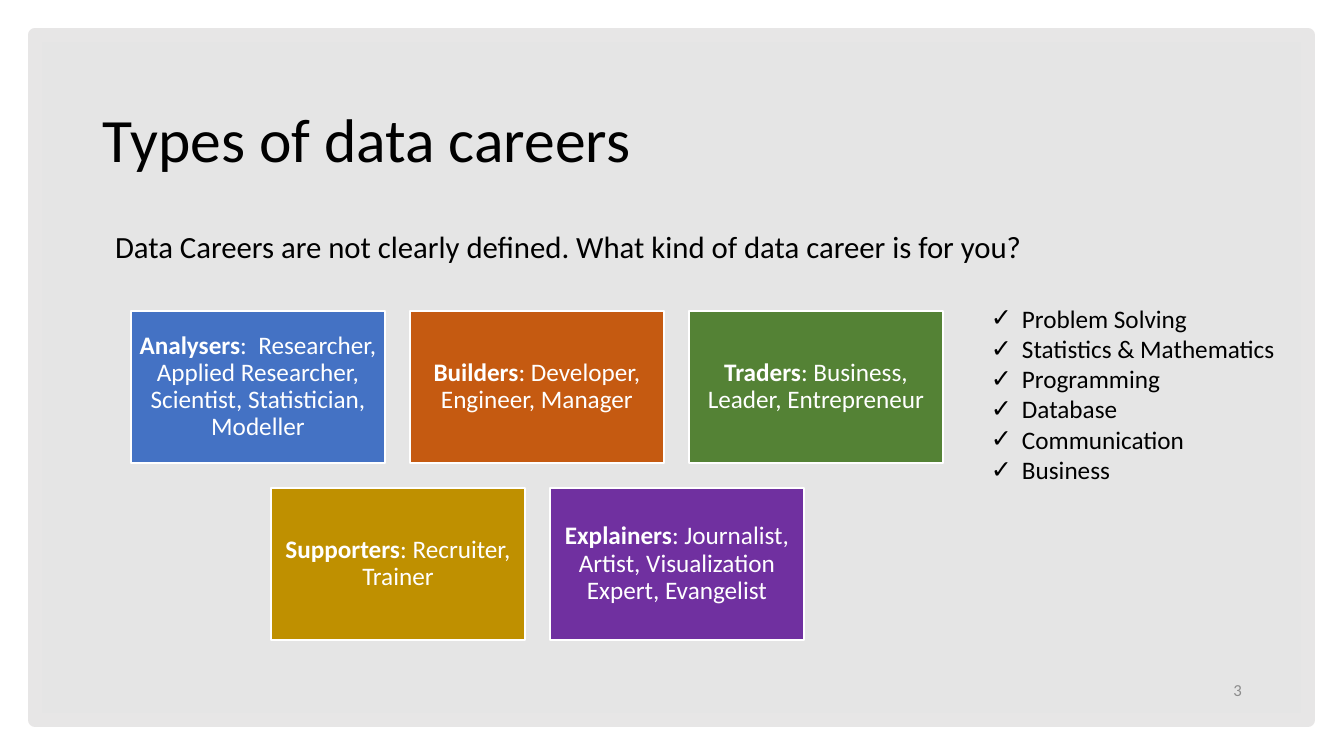
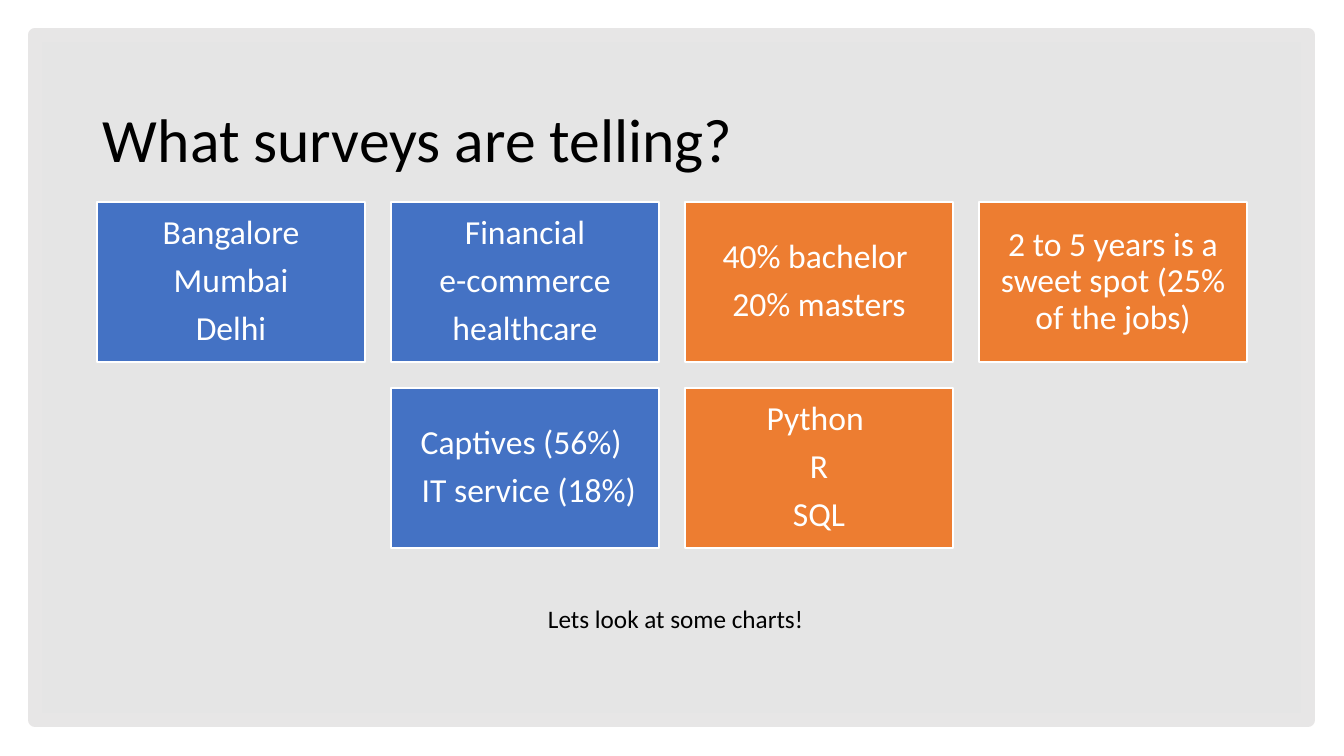
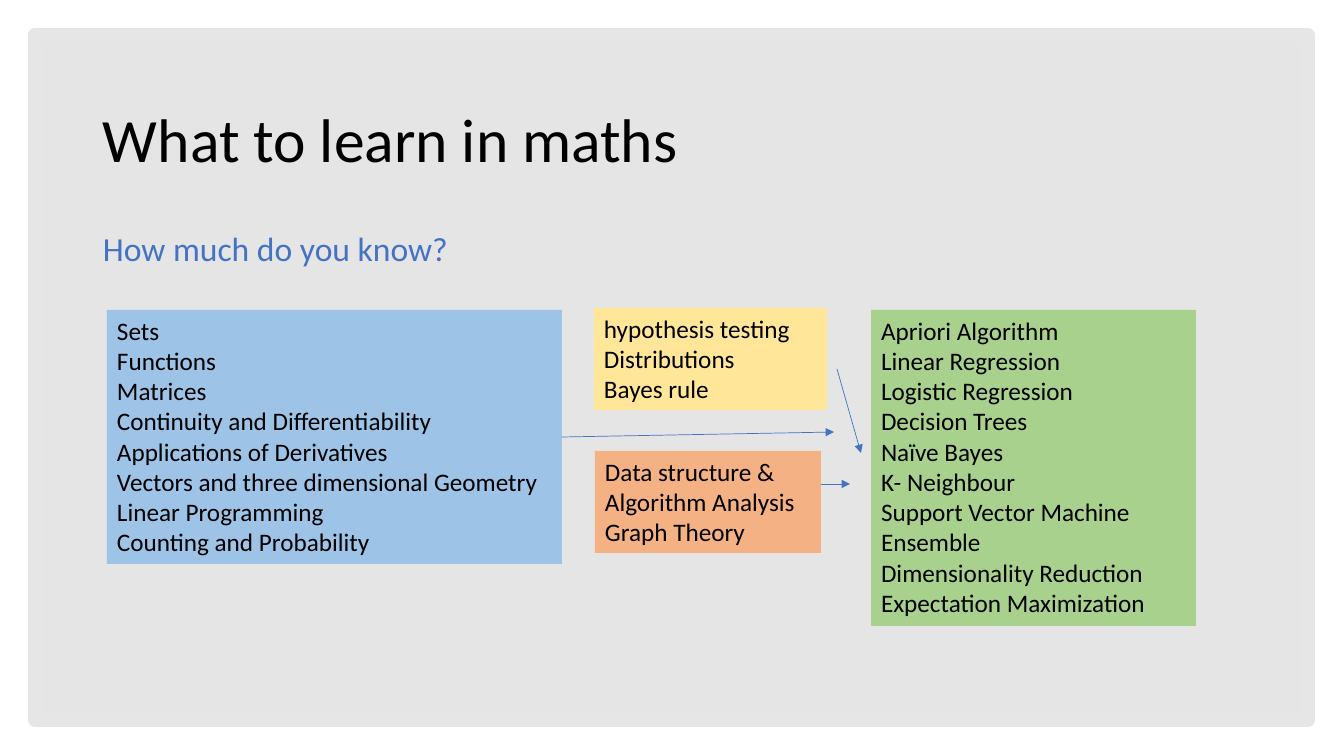
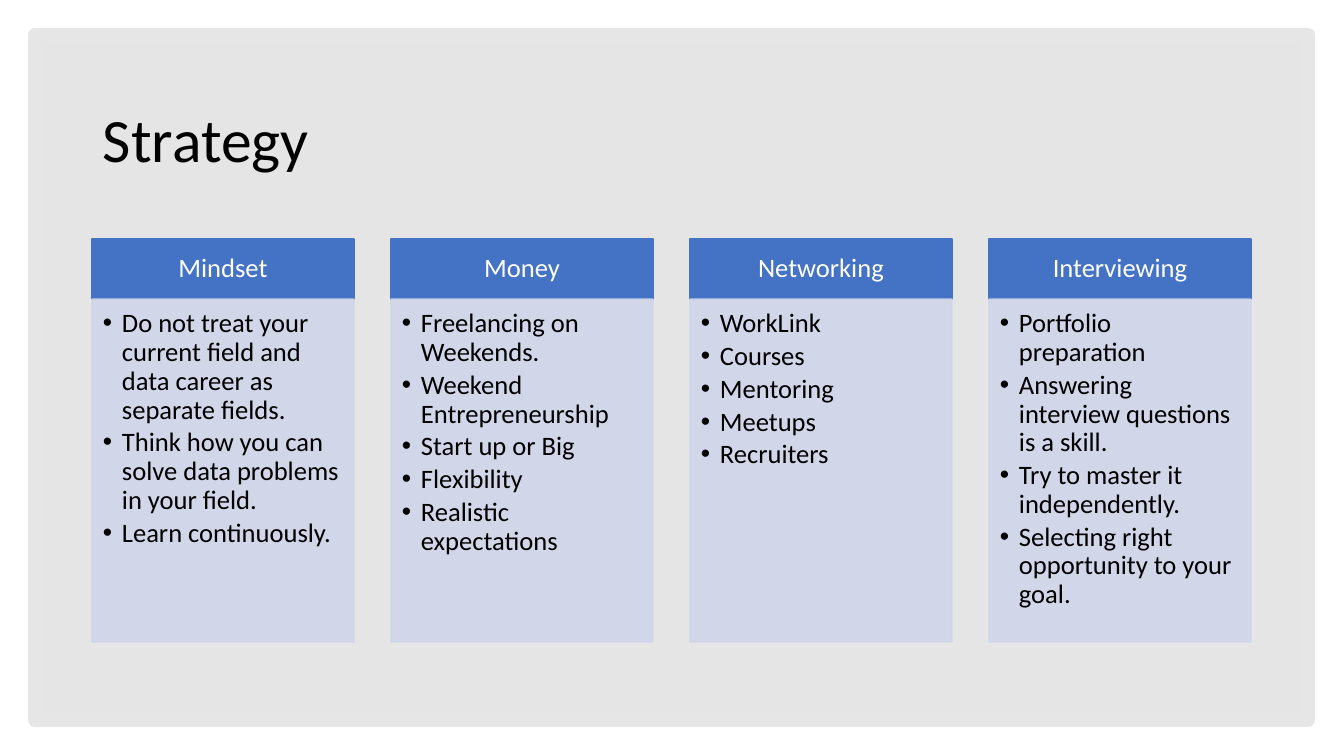
import pptx
import pptx.dml.color
import pptx.enum.shapes
import pptx.enum.text
import pptx.oxml.ns
import pptx.util
import lxml.etree

PX = 9071
FONT = "Calibri"
BLACK, WHITE, BLUE, ORANGE = "000000", "FFFFFF", "4472C4", "ED7D31"
PANEL, BORDER = "CFD5EA", "E7E6E6"

rgb = pptx.dml.color.RGBColor.from_string
qn = pptx.oxml.ns.qn
Pt = pptx.util.Pt
ALIGN = pptx.enum.text.PP_ALIGN
ANCHOR = pptx.enum.text.MSO_ANCHOR
RECT = pptx.enum.shapes.MSO_SHAPE.RECTANGLE
STRAIGHT = pptx.enum.shapes.MSO_CONNECTOR.STRAIGHT


def box(s, at, fill, line=None, width=1, alphas=()):
    sp = s.shapes.add_shape(RECT, *(n * PX for n in at))
    sp.shadow.inherit = False
    sp.fill.solid()
    sp.fill.fore_color.rgb = rgb(fill)
    if line:
        sp.line.color.rgb = rgb(line)
        sp.line.width = Pt(width)
    else:
        sp.line.fill.background()
    for clr, alpha in zip(sp.element.spPr.xpath(".//a:srgbClr"), alphas):
        lxml.etree.SubElement(clr, qn("a:alpha"), val=str(alpha * 1000))
    return sp


def write(tf, paras, size, color=BLACK, margins=(10, 5, 10, 5), bullet=None, indent=0,
          anchor=ANCHOR.TOP, wrap=True, **fmt):
    frame = dict(zip(("margin_left", "margin_top", "margin_right", "margin_bottom"),
                     (n * PX for n in margins)))
    frame.update(vertical_anchor=anchor, word_wrap=wrap,
                 auto_size=pptx.enum.text.MSO_AUTO_SIZE.NONE)
    for key, value in frame.items():
        setattr(tf, key, value)
    fmt = {"alignment": ALIGN.LEFT, "line_spacing": 1.0,
           "space_before": Pt(0), "space_after": Pt(0), **fmt}
    for i, para in enumerate(paras):
        p = tf.add_paragraph() if i else tf.paragraphs[0]
        for key, value in fmt.items():
            setattr(p, key, value)
        pPr = p._p.get_or_add_pPr()
        pPr.set("marL", str(indent * PX))
        pPr.set("indent", str(-indent * PX))
        if bullet:
            lxml.etree.SubElement(pPr, qn("a:buFont"), typeface="Arial")
            lxml.etree.SubElement(pPr, qn("a:buChar"), char=bullet)
        else:
            lxml.etree.SubElement(pPr, qn("a:buNone"))
        parts = para.split("|")
        for j, part in enumerate(parts):
            r = p.add_run()
            r.text = part
            font = {"name": FONT, "size": Pt(size), "bold": j < len(parts) - 1}
            for key, value in font.items():
                setattr(r.font, key, value)
            r.font.color.rgb = rgb(color)


prs = pptx.Presentation()
prs.slide_width, prs.slide_height = 1344 * PX, 756 * PX

slides = []
for title, layout in [("Types of data careers", 1), ("What surveys are telling?", 5),
                      ("What to learn in maths", 1), ("Strategy", 5)]:
    s = prs.slides.add_slide(prs.slide_layouts[layout])
    sp = s.shapes.title
    sp.left, sp.top, sp.width, sp.height = (n * PX for n in (93, 70, 1159, 146))
    write(sp.text_frame, [title], 44, anchor=ANCHOR.MIDDLE, line_spacing=0.9)
    sp.element.addprevious(box(s, (35, 35, 1273, 685), BLACK, BORDER, 10, (10,)).element)
    slides.append(s)
careers, surveys, maths, strategy = slides

bodies = [
    (careers, (981, 298, 324, 194),
     ["Problem Solving", "Statistics & Mathematics", "Programming", "Database",
      "Communication", "Business"],
     {"size": 18, "bullet": "✓", "indent": 31}),
    (maths, (93, 227, 381, 54), ["How much do you know?"],
     {"size": 24, "color": BLUE, "line_spacing": 0.9, "space_before": Pt(10)}),
]
for s, at, paras, fmt in bodies:
    sp = s.placeholders[1]
    sp.left, sp.top, sp.width, sp.height = (n * PX for n in at)
    write(sp.text_frame, paras, **fmt)

career_rows = [
    [("4472C4", ["Analysers|:  Researcher, Applied Researcher, Scientist, Statistician, Modeller"]),
     ("C55A11", ["Builders|: Developer, Engineer, Manager"]),
     ("548235", ["Traders|: Business, Leader, Entrepreneur"])],
    [("BF9000", ["Supporters|: Recruiter, Trainer"]),
     ("7030A0", ["Explainers|: Journalist, Artist, Visualization Expert, Evangelist"])],
]
survey_rows = [
    [(BLUE, ["Bangalore", " Mumbai ", "Delhi"]),
     (BLUE, ["Financial", "e-commerce", "healthcare"]),
     (ORANGE, ["40% bachelor ", "20% masters"]),
     (ORANGE, ["2 to 5 years is a sweet spot (25% of the jobs)"])],
    [(BLUE, ["Captives (56%) ", " IT service (18%)"]),
     (ORANGE, ["Python ", "R", "SQL"])],
]
grids = [
    (careers, 537, 311, 254, 152, 25, 18, 7, career_rows),
    (surveys, 672, 202, 268, 160, 26, 24, 10, survey_rows),
]
for s, center, top, w, h, gap, size, margin, rows in grids:
    for i, row in enumerate(rows):
        left = center - (len(row) * (w + gap) - gap) // 2
        for j, (fill, paras) in enumerate(row):
            sp = box(s, (left + j * (w + gap), top + i * (h + gap), w, h), fill, WHITE)
            write(sp.text_frame, paras, size, WHITE, (margin,) * 4, anchor=ANCHOR.MIDDLE,
                  alignment=ALIGN.CENTER, line_spacing=0.9, space_after=Pt(0.35 * size))

notes = [
    (careers, (950, 670, 302, 40), "3",
     {"size": 12, "color": "8C8C8C", "anchor": ANCHOR.MIDDLE, "alignment": ALIGN.RIGHT,
      "space_after": Pt(6)}),
    (careers, (105, 223, 1137, 47),
     "Data Careers are not clearly defined. What kind of data career is for you?", {"size": 22}),
    (surveys, (538, 598, 278, 40), "Lets look at some charts!", {"size": 18, "wrap": False}),
]
for s, at, text, fmt in notes:
    sp = s.shapes.add_textbox(*(n * PX for n in at))
    write(sp.text_frame, [text], **fmt)

topics = [
    ((107, 310, 455, 254), "9DC3E6",
     ["Sets", "Functions", "Matrices", "Continuity and Differentiability",
      "Applications of Derivatives", "Vectors and three dimensional Geometry",
      "Linear Programming", "Counting and Probability"]),
    ((594, 308, 233, 102), "FFE699", ["hypothesis testing", "Distributions", "Bayes rule"]),
    ((871, 310, 325, 316), "A9D18E",
     ["Apriori Algorithm", "Linear Regression", "Logistic Regression", "Decision Trees",
      "Naïve Bayes", "K- Neighbour", "Support Vector Machine", "Ensemble",
      "Dimensionality Reduction", "Expectation Maximization"]),
    ((595, 451, 226, 102), "F4B183", ["Data structure & Algorithm Analysis", "Graph Theory"]),
]
for at, fill, paras in topics:
    write(box(maths, at, fill).text_frame, paras, 18)

for ends in [(821, 484, 850, 484), (837, 369, 861, 453), (562, 437, 834, 432)]:
    arrow = maths.shapes.add_connector(STRAIGHT, *(n * PX for n in ends))
    arrow.line.color.rgb = rgb(BLUE)
    arrow.line.width = Pt(0.5)
    spPr = arrow.element.spPr
    lxml.etree.SubElement(spPr.find(qn("a:ln")), qn("a:tailEnd"), type="triangle")
    lxml.etree.SubElement(spPr, qn("a:effectLst"))

columns = [
    ("Mindset", ["Do not treat your current field and data career as separate fields.",
                 "Think how you can solve data problems in your field.",
                 "Learn continuously."]),
    ("Money", ["Freelancing on Weekends.", "Weekend Entrepreneurship", "Start up or Big",
               "Flexibility", "Realistic expectations"]),
    ("Networking", ["WorkLink", "Courses", "Mentoring", "Meetups", "Recruiters"]),
    ("Interviewing", ["Portfolio preparation", "Answering interview questions is a skill.",
                      "Try to master it independently.",
                      "Selecting right opportunity to your goal."]),
]
for i, (head, paras) in enumerate(columns):
    left = 92 + i * 299
    sp = box(strategy, (left, 239, 262, 60), BLUE, BLUE)
    write(sp.text_frame, [head], 19, WHITE, (15, 8, 15, 8), anchor=ANCHOR.MIDDLE,
          alignment=ALIGN.CENTER, line_spacing=0.9)
    sp = box(strategy, (left, 299, 262, 343), PANEL, PANEL, alphas=(90, 90))
    write(sp.text_frame, paras, 19, margins=(11, 11, 15, 17), bullet="•", indent=19,
          line_spacing=0.9, space_after=Pt(2.85))

prs.save("out.pptx")
